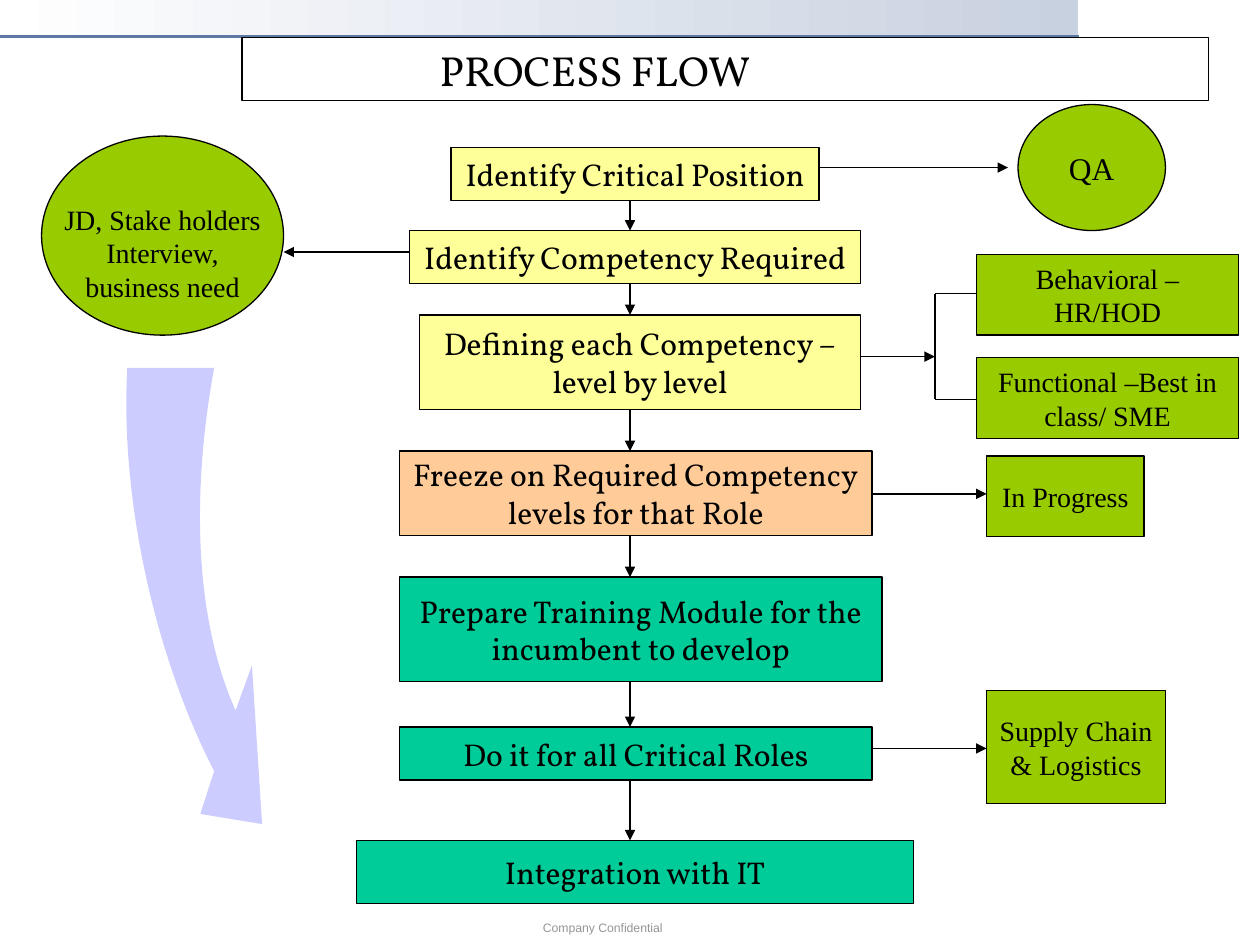
from itertools import pairwise

from lxml.etree import SubElement
from pptx import Presentation
from pptx.dml.color import RGBColor
from pptx.enum.shapes import MSO_CONNECTOR as CONNECTOR, MSO_SHAPE as SHAPE
from pptx.enum.text import MSO_ANCHOR as ANCHOR, PP_ALIGN as ALIGN
from pptx.oxml.ns import qn
from pptx.util import Inches, Pt

SERIF, HEADING = "Times New Roman", "Vollkorn"
BLACK, WHITE, YELLOW, ORANGE = "000000", "FFFFFF", "FFFF99", "FFCC99"
TEAL, GREEN, LILAC = "00CC99", "99CC00", "CCCCFF"


def color(value):
    """Turn a hex string into a colour."""
    return RGBColor.from_string(value)


def write(shape, text, font, size, ink=BLACK, align=ALIGN.CENTER, wrap=False):
    """Put formatted text into a shape."""
    frame = shape.text_frame
    frame.text = text
    frame.word_wrap = wrap
    frame.vertical_anchor = ANCHOR.MIDDLE
    for paragraph in frame.paragraphs:
        paragraph.alignment = align
        for run in paragraph.runs:
            run.font.name = font
            run.font.size = Pt(size)
            run.font.color.rgb = color(ink)


def add_node(slide, left, top, width, height, text, fill, font=SERIF, size=16,
             kind=SHAPE.RECTANGLE, wrap=False, align=ALIGN.CENTER):
    """Add an outlined shape with text."""
    shape = slide.shapes.add_shape(
        kind, Inches(left), Inches(top), Inches(width), Inches(height))
    shape.shadow.inherit = False
    shape.fill.solid()
    shape.fill.fore_color.rgb = color(fill)
    shape.line.color.rgb = color(BLACK)
    shape.line.width = Pt(0.75)
    write(shape, text, font, size, align=align, wrap=wrap)
    return shape


def add_line(slide, start, end, arrow=True, ink=BLACK, width=0.75):
    """Add a straight line, with an arrowhead at its end if wanted."""
    line = slide.shapes.add_connector(
        CONNECTOR.STRAIGHT, *(Inches(value) for value in (*start, *end)))
    line.line.color.rgb = color(ink)
    line.line.width = Pt(width)
    properties = line._element.spPr
    if arrow:
        SubElement(properties.find(qn("a:ln")), qn("a:tailEnd"), type="triangle")
    SubElement(properties, qn("a:effectLst"))


def add_header(slide, left, top, width):
    """Draw the gradient band, its rule and the title box."""
    band = slide.shapes.add_shape(
        SHAPE.RECTANGLE, Inches(left), Inches(top), Inches(width), Inches(0.29))
    band.shadow.inherit = False
    band.line.fill.background()
    band.fill.gradient()
    band.fill.gradient_angle = 0
    for stop, value in zip(band.fill.gradient_stops, (WHITE, "C8D1E0")):
        stop.color.rgb = color(value)
    add_line(slide, (left, top + 0.29), (left + width, top + 0.29),
             arrow=False, ink="5D78A3", width=2.25)
    title = add_node(slide, left + 1.92, top + 0.3, 7.67, 0.5, "PROCESS FLOW",
                     WHITE, HEADING, 24, align=ALIGN.LEFT)
    title.text_frame.margin_left = Inches(1.57)


def add_footer(slide, left, top, width, height):
    """Write the confidentiality line."""
    footer = slide.shapes.add_textbox(
        Inches(left), Inches(top), Inches(width), Inches(height))
    write(footer, "Company Confidential", "Arial", 7, "969696", ALIGN.LEFT)


def add_steps(slide, left, top):
    """Stack the process steps and link them along one axis."""
    axis = left + 2.17
    steps = [
        (0.75, 0, 2.92, 0.42, "Identify Critical Position", YELLOW),
        (0.42, 0.66, 3.58, 0.42, "Identify Competency Required", YELLOW),
        (0.5, 1.33, 3.5, 0.75, "Defining each Competency –\nlevel by level", YELLOW),
        (0.34, 2.41, 3.75, 0.67,
         "Freeze on Required Competency\nlevels for that Role", ORANGE),
        (0.34, 3.41, 3.83, 0.83,
         "Prepare Training Module for the\nincumbent to develop", TEAL),
        (0.34, 4.6, 3.75, 0.42, "Do it for all Critical Roles", TEAL),
        (0, 5.5, 4.42, 0.5, "Integration with IT", TEAL),
    ]
    for x, y, width, height, text, fill in steps:
        add_node(slide, left + x, top + y, width, height, text, fill, HEADING, 18)
    for upper, lower in pairwise(steps):
        add_line(slide, (axis, top + upper[1] + upper[3]), (axis, top + lower[1]))


def add_owners(slide, left, top):
    """Place the owners and status at the right, with their links."""
    add_node(slide, left + 1.58, top, 1.17, 1, "QA", GREEN, size=18,
             kind=SHAPE.OVAL)
    boxes = [
        (1.25, 1.19, 2.08, 0.64, "Behavioral – HR/HOD"),
        (1.25, 2.01, 2.08, 0.64, "Functional –Best in class/ SME"),
        (1.33, 2.79, 1.25, 0.64, "In Progress"),
        (1.33, 4.65, 1.42, 0.9, "Supply Chain & Logistics"),
    ]
    for x, y, width, height, text in boxes:
        add_node(slide, left + x, top + y, width, height, text, GREEN, wrap=True)
    for start, end, y in ((0, 1.5, 0.5), (0.33, 0.92, 2),
                          (0.42, 1.33, 3.09), (0.42, 1.33, 5.11)):
        add_line(slide, (left + start, top + y), (left + end, top + y))
    fork, upper, lower = left + 0.92, top + 1.5, top + 2.34
    add_line(slide, (fork, upper), (fork, lower), arrow=False)
    for y in (upper, lower):
        add_line(slide, (fork, y), (left + 1.25, y), arrow=False)


def curve(start, first, second, end, count=24):
    """List points along a cubic curve."""
    points = []
    for index in range(count + 1):
        t = index / count
        weights = ((1 - t) ** 3, 3 * t * (1 - t) ** 2, 3 * t * t * (1 - t), t ** 3)
        points.append(tuple(
            sum(weight * value for weight, value in zip(weights, values))
            for values in zip(start, first, second, end)))
    return points


def add_inputs(slide, left, top):
    """Place the inputs at the left and the curved arrow below them."""
    inputs = add_node(slide, left, top, 1.92, 1.58,
                      "JD, Stake holders\nInterview,\nbusiness need",
                      GREEN, kind=SHAPE.OVAL)
    inputs.text_frame.margin_top = Inches(0.32)
    add_line(slide, (left + 2.92, top + 0.92), (left + 1.92, top + 0.92))
    outline = [
        *curve((0.68, 1.84), (0.62, 2.92), (0.92, 4.17), (1.37, 5.04)),
        (1.26, 5.38), (1.75, 5.46), (1.67, 4.2),
        *curve((1.54, 4.56), (1.21, 3.82), (1.19, 2.82), (1.37, 1.84)),
    ]
    points = [(Inches(left + x), Inches(top + y)) for x, y in outline]
    builder = slide.shapes.build_freeform(*points[0])
    builder.add_line_segments(points[1:], close=True)
    arrow = builder.convert_to_shape()
    arrow.shadow.inherit = False
    arrow.fill.solid()
    arrow.fill.fore_color.rgb = color(LILAC)
    arrow.line.fill.background()


def main():
    """Build and save the process flow slide."""
    presentation = Presentation()
    presentation.slide_width = Inches(10)
    presentation.slide_height = Inches(7.5)
    slide = presentation.slides.add_slide(presentation.slide_layouts[6])
    add_header(slide, 0, 0, 8.56)
    add_footer(slide, 4.21, 7.25, 1.56, 0.22)
    add_steps(slide, 2.83, 1.17)
    add_owners(slide, 6.5, 0.83)
    add_inputs(slide, 0.33, 1.08)
    presentation.save("out.pptx")


if __name__ == "__main__":
    main()
